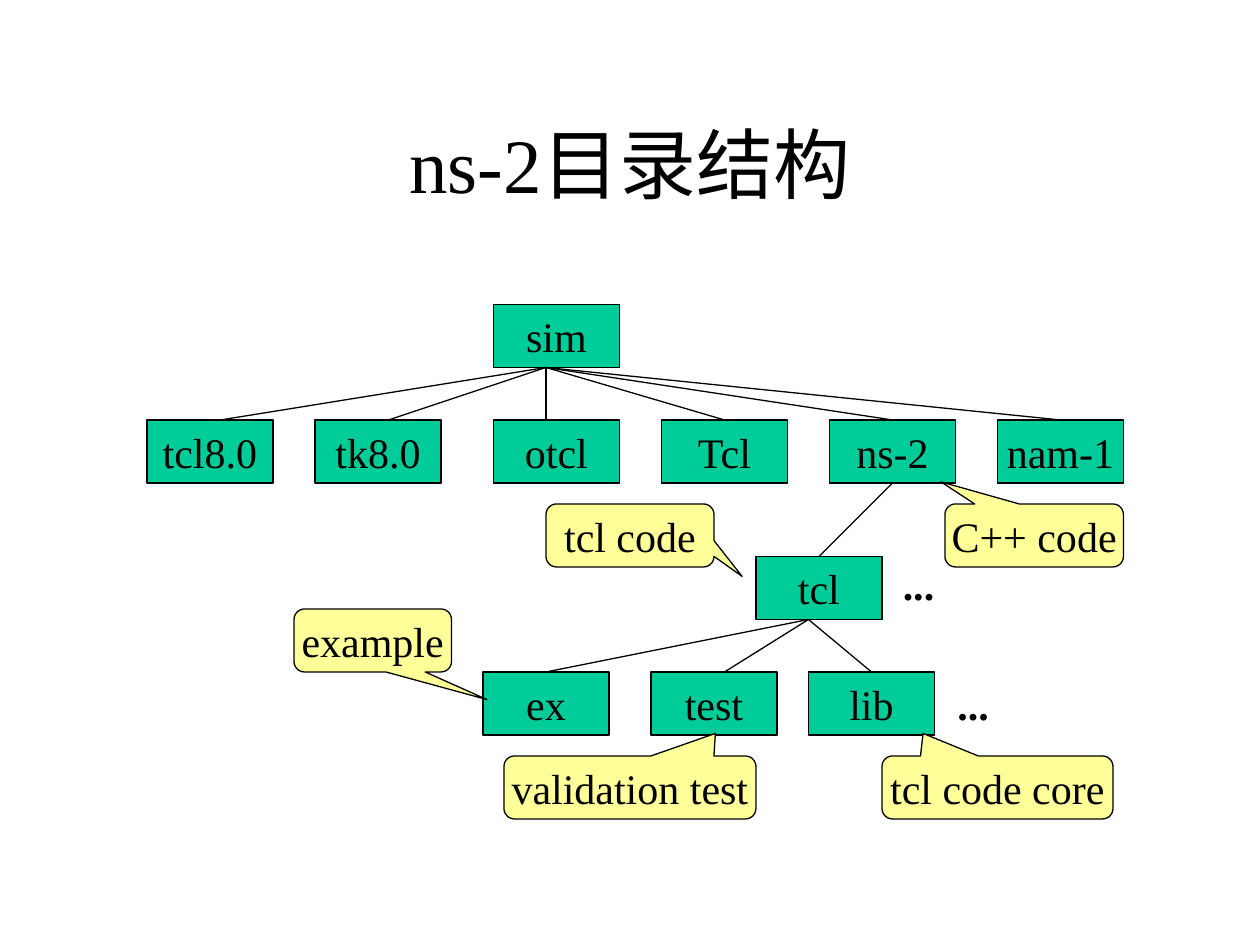
import dataclasses

import lxml.etree
import pptx
import pptx.dml.color
import pptx.enum.shapes
import pptx.enum.text
import pptx.oxml.ns
import pptx.util

SHAPE = pptx.enum.shapes.MSO_SHAPE
ALIGN = pptx.enum.text.PP_ALIGN
ANCHOR = pptx.enum.text.MSO_ANCHOR
TOP, BOTTOM = 0, 2
COLUMNS, ROWS = 120, 90
NODE_WIDTH, NODE_HEIGHT = 12, 6


@dataclasses.dataclass(frozen=True)
class Theme:
    font: str = "Times New Roman"
    ink: str = "000000"
    directory: str = "00CC99"
    note: str = "FFFF99"
    title_size: int = 44
    label_size: int = 24
    line_width: float = 0.75


@dataclasses.dataclass(frozen=True)
class Box:
    left: float
    top: float
    width: float
    height: float

    def inside(self, column, row, width, height):
        return Box(self.left + column, self.top + row, width, height)

    def emu(self):
        column = pptx.util.Inches(10) / COLUMNS
        row = pptx.util.Inches(7.5) / ROWS
        return (round(self.left * column), round(self.top * row),
                round(self.width * column), round(self.height * row))


THEME = Theme()


def color(value):
    return pptx.dml.color.RGBColor.from_string(value)


def write(frame, text, size=THEME.label_size, bold=False, align=ALIGN.CENTER,
          anchor=ANCHOR.MIDDLE, wrap=False):
    frame.auto_size = pptx.enum.text.MSO_AUTO_SIZE.NONE
    frame.word_wrap = wrap
    frame.vertical_anchor = anchor
    paragraph = frame.paragraphs[0]
    paragraph.alignment = align
    run = paragraph.add_run()
    run.text = text
    run.font.name = THEME.font
    run.font.size = pptx.util.Pt(size)
    run.font.bold = bold
    run.font.color.rgb = color(THEME.ink)


def outline(line):
    line.color.rgb = color(THEME.ink)
    line.width = pptx.util.Pt(THEME.line_width)


def add_block(slide, kind, box, text, fill):
    block = slide.shapes.add_shape(kind, *box.emu())
    block.shadow.inherit = False
    block.fill.solid()
    block.fill.fore_color.rgb = color(fill)
    outline(block.line)
    write(block.text_frame, text)
    return block


def add_branch(slide, start, end, parent=None, child=None):
    begin_x, begin_y = start.emu()[:2]
    end_x, end_y = end.emu()[:2]
    branch = slide.shapes.add_connector(
        pptx.enum.shapes.MSO_CONNECTOR.STRAIGHT, begin_x, begin_y, end_x, end_y)
    outline(branch.line)
    lxml.etree.SubElement(branch._element.spPr, pptx.oxml.ns.qn("a:effectLst"))
    if parent is not None:
        branch.begin_connect(parent, BOTTOM)
    if child is not None:
        branch.end_connect(child, TOP)


def add_title(slide, box, text):
    title = slide.shapes.title
    title.left, title.top, title.width, title.height = box.emu()
    write(title.text_frame, text, size=THEME.title_size, wrap=True)


def add_tree(slide, box):
    columns_by_row = {
        0: {"sim": 33},
        11: {"tcl8.0": 0, "tk8.0": 16, "otcl": 33, "Tcl": 49, "ns-2": 65, "nam-1": 81},
        24: {"tcl": 58},
        35: {"ex": 32, "test": 48, "lib": 63},
    }
    places, nodes = {}, {}
    for row, directories in columns_by_row.items():
        for name, column in directories.items():
            places[name] = (column, row)
            node_box = box.inside(column, row, NODE_WIDTH, NODE_HEIGHT)
            nodes[name] = add_block(slide, SHAPE.RECTANGLE, node_box, name, THEME.directory)

    branches = {
        ("sim", 38): {"tcl8.0": 7, "tk8.0": 23, "otcl": 38, "Tcl": 55, "ns-2": 71, "nam-1": 87},
        ("ns-2", 71): {"tcl": 64},
        ("tcl", 63): {"ex": 38, "test": 55, "lib": 69},
    }

    def node_at_middle(name, column):
        return nodes[name] if column == places[name][0] + NODE_WIDTH / 2 else None

    for (parent, start_column), children in branches.items():
        start = box.inside(start_column, places[parent][1] + NODE_HEIGHT, 0, 0)
        for child, end_column in children.items():
            end = box.inside(end_column, places[child][1], 0, 0)
            add_branch(slide, start, end, node_at_middle(parent, start_column),
                       node_at_middle(child, end_column))

    for column, row in ((70.8, 23.6), (76, 35)):
        more = slide.shapes.add_textbox(*box.inside(column, row, 5.4, 6).emu())
        write(more.text_frame, "...", bold=True, align=ALIGN.LEFT, anchor=ANCHOR.TOP)


def add_notes(slide, box):
    notes = (
        ("tcl code", 38, 19, 16, 0.667, 0.649),
        ("example", 14, 29, 15, 0.725, 0.938),
        ("validation test", 34, 43, 24, 0.339, -0.858),
        ("C++ code", 76, 19, 17, -0.522, -0.851),
        ("tcl code core", 70, 43, 22, -0.322, -0.858),
    )
    for text, column, row, width, tip_x, tip_y in notes:
        note_box = box.inside(column, row, width, NODE_HEIGHT)
        note = add_block(slide, SHAPE.ROUNDED_RECTANGULAR_CALLOUT, note_box, text, THEME.note)
        note.adjustments[0] = tip_x
        note.adjustments[1] = tip_y


def main():
    deck = pptx.Presentation()
    deck.slide_width = pptx.util.Inches(10)
    deck.slide_height = pptx.util.Inches(7.5)
    slide = deck.slides.add_slide(deck.slide_layouts.get_by_name("Title Only"))
    diagram = Box(14, 29, 93, 49)
    add_title(slide, Box(9, 8, 102, 15), "ns-2目录结构")
    add_tree(slide, diagram)
    add_notes(slide, diagram)
    deck.save("out.pptx")


if __name__ == "__main__":
    main()
